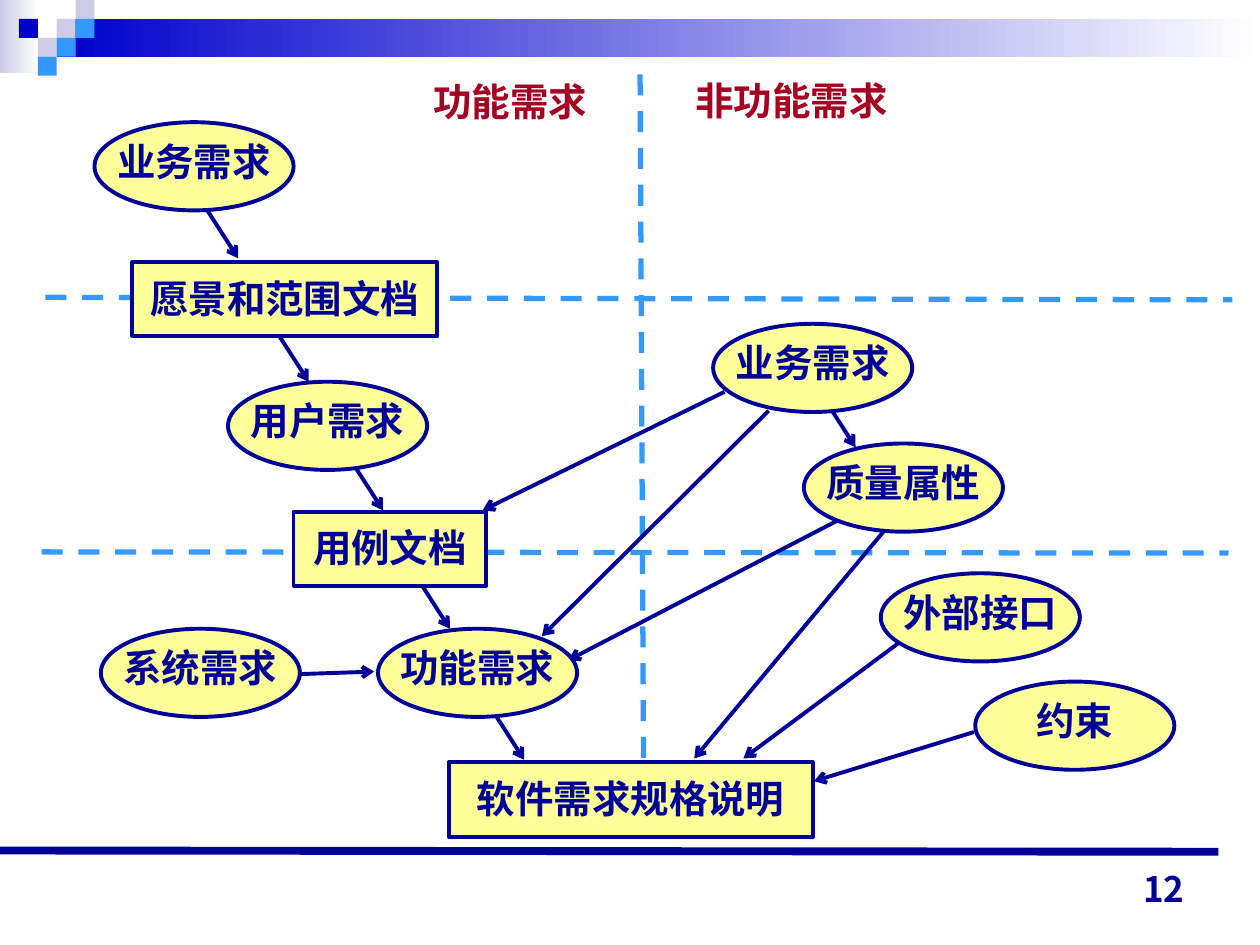
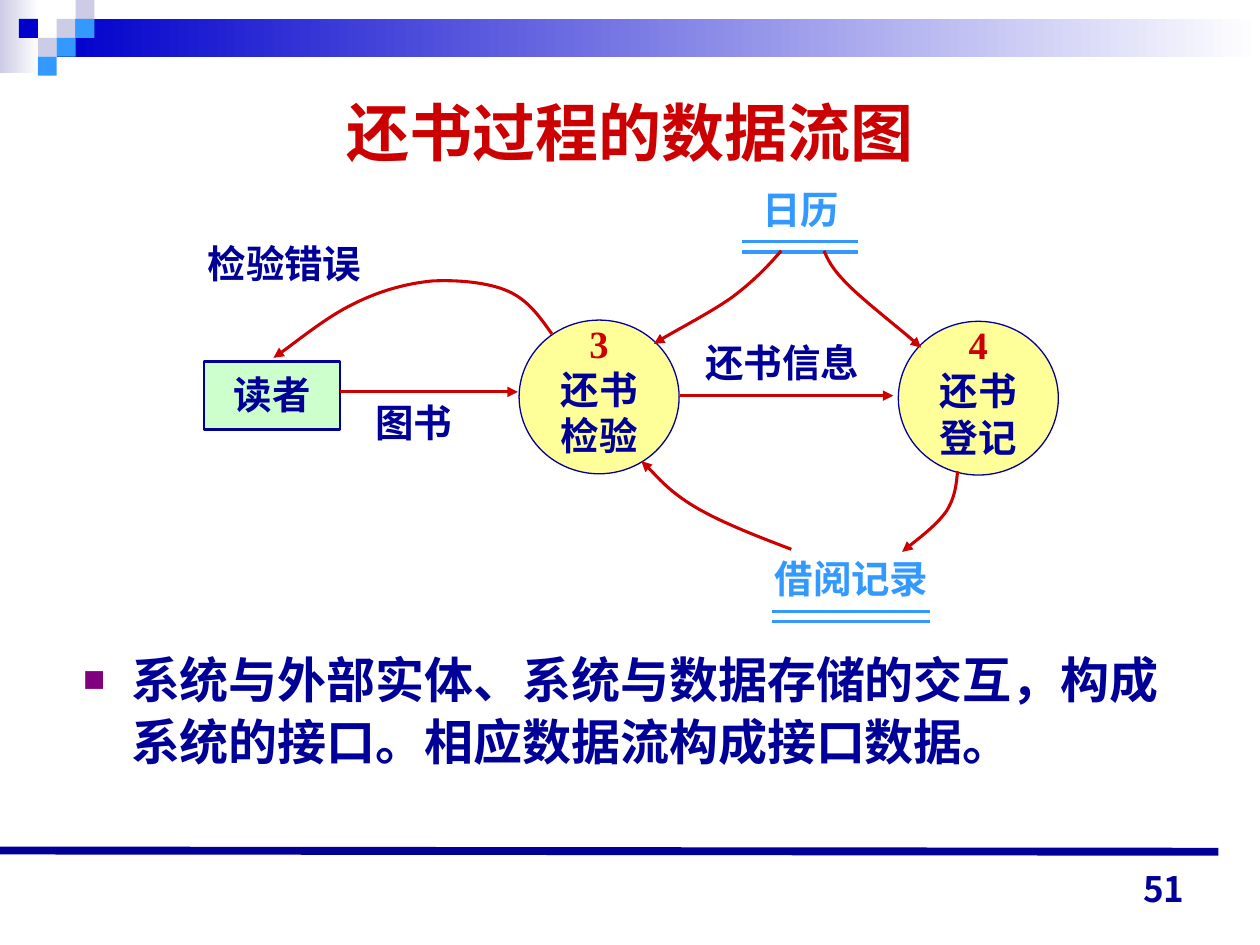
from dataclasses import dataclass

import lxml.etree
import pptx
import pptx.dml.color
import pptx.enum.dml
import pptx.enum.shapes
import pptx.enum.text
import pptx.oxml.ns
import pptx.util

Inches = pptx.util.Inches
Pt = pptx.util.Pt
qn = pptx.oxml.ns.qn
RECT = pptx.enum.shapes.MSO_SHAPE.RECTANGLE
OVAL = pptx.enum.shapes.MSO_SHAPE.OVAL
ALIGN = pptx.enum.text.PP_ALIGN
ANCHOR = pptx.enum.text.MSO_ANCHOR


@dataclass(frozen=True)
class Theme:
    navy: str = "000099"
    blue: str = "0000CC"
    sky: str = "3399FF"
    lavender: str = "CCCCE6"
    white: str = "FFFFFF"
    yellow: str = "FFFF99"
    green: str = "CCFFCC"
    red: str = "CC0000"
    crimson: str = "A50021"
    purple: str = "800080"
    font: str = "Arial"
    digit_font: str = "Times New Roman"
    number_font: str = "Noto Sans CJK JP"
    title_size: int = 36
    body_size: int = 28
    label_size: int = 22
    number_size: int = 20


THEME = Theme()


def rgb(value):
    return pptx.dml.color.RGBColor.from_string(value)


def apply_format(target, formats):
    for name, value in formats.items():
        setattr(target, name, value)


def set_margins(frame, left=0.1, top=0.05, right=0.1, bottom=0.05):
    apply_format(frame, {
        "margin_left": Inches(left), "margin_top": Inches(top),
        "margin_right": Inches(right), "margin_bottom": Inches(bottom)})


def write(paragraph, text, color=THEME.navy, size=THEME.label_size, font=THEME.font,
          align=ALIGN.LEFT):
    paragraph.alignment = align
    run = paragraph.add_run()
    run.text = text
    apply_format(run.font, {"name": font, "size": Pt(size), "bold": True})
    run.font.color.rgb = rgb(color)
    east_asian = lxml.etree.SubElement(run.font._element, qn("a:ea"))
    east_asian.set("typeface", font)


def place(shape, left, top, width, height):
    apply_format(shape, {"left": Inches(left), "top": Inches(top),
                         "width": Inches(width), "height": Inches(height)})


def add_box(slide, kind, left, top, width, height, fill, line=None, weight=0):
    box = slide.shapes.add_shape(kind, Inches(left), Inches(top), Inches(width), Inches(height))
    box.shadow.inherit = False
    box.fill.solid()
    box.fill.fore_color.rgb = rgb(fill)
    if line:
        box.line.color.rgb = rgb(line)
        box.line.width = Pt(weight)
    else:
        box.line.fill.background()
    return box


def add_fade(slide, left, top, width, height, color):
    band = add_box(slide, RECT, left, top, width, height, color)
    band.fill.gradient()
    band.fill.gradient_angle = 180
    for stop, shade in zip(band.fill.gradient_stops, (THEME.white, color)):
        stop.color.rgb = rgb(shade)


def style_line(shape, color, weight, head=None, dashed=False):
    shape.line.color.rgb = rgb(color)
    shape.line.width = Pt(weight)
    if dashed:
        shape.line.dash_style = pptx.enum.dml.MSO_LINE.DASH
    if head:
        lxml.etree.SubElement(shape.line._get_or_add_ln(), qn("a:tailEnd")).set("type", head)


def add_line(slide, start, end, color, weight, head=None, dashed=False):
    line = slide.shapes.add_connector(
        pptx.enum.shapes.MSO_CONNECTOR.STRAIGHT, *map(Inches, (*start, *end)))
    style_line(line, color, weight, head, dashed)
    lxml.etree.SubElement(line._element.spPr, qn("a:effectLst"))


def add_curve(slide, *points):
    start, *controls = [(Inches(x), Inches(y)) for x, y in points]
    builder = slide.shapes.build_freeform(*start)
    builder.add_line_segments(controls, close=False)
    curve = builder.convert_to_shape()
    curve.shadow.inherit = False
    curve.fill.background()
    style_line(curve, THEME.red, 1.75, "triangle")
    segments = list(curve._element.iter(qn("a:lnTo")))
    for i in range(0, len(segments), 3):
        bezier = lxml.etree.Element(qn("a:cubicBezTo"))
        segments[i].addprevious(bezier)
        for segment in segments[i:i + 3]:
            bezier.append(segment[0])
            segment.getparent().remove(segment)


def add_label(slide, text, left, top, color=THEME.navy):
    width = 0.2 + len(text) * THEME.label_size / 72
    label = slide.shapes.add_textbox(Inches(left), Inches(top), Inches(width), Inches(0.47))
    label.text_frame.word_wrap = False
    set_margins(label.text_frame)
    write(label.text_frame.paragraphs[0], text, color)


def add_node(slide, kind, bounds, lines, fill=THEME.yellow, weight=2.25, lift=0.09):
    node = add_box(slide, kind, *bounds, fill, THEME.navy, weight)
    frame = node.text_frame
    apply_format(frame, {"word_wrap": False, "vertical_anchor": ANCHOR.MIDDLE})
    set_margins(frame, 0, 0, 0, lift)
    for i, text in enumerate(lines):
        paragraph = frame.add_paragraph() if i else frame.paragraphs[0]
        look = {"color": THEME.red, "font": THEME.digit_font} if text.isdigit() else {}
        write(paragraph, text, align=ALIGN.CENTER, **look)


def add_store(slide, text, label_left, left, right, top):
    add_label(slide, text, label_left, top - 0.49, THEME.sky)
    for y in (top, top + 0.08):
        add_line(slide, (left, y), (right, y), THEME.sky, 1.75)


def add_page_number(slide, number):
    box = slide.shapes.add_textbox(Inches(7.17), Inches(6.77), Inches(2.33), Inches(0.5))
    apply_format(box.text_frame, {"word_wrap": True, "vertical_anchor": ANCHOR.BOTTOM})
    set_margins(box.text_frame)
    write(box.text_frame.paragraphs[0], number, size=THEME.number_size,
          font=THEME.number_font, align=ALIGN.RIGHT)


def decorate_master(prs, slide):
    add_fade(slide, 0, 0, 0.31, 0.58, THEME.lavender)
    add_fade(slide, 0.45, 0.15, 9.55, 0.3, THEME.blue)
    tile = 0.15
    for column, row, color in (
            (3, 1, THEME.lavender), (4, 0, THEME.lavender), (4, 1, THEME.sky),
            (2, 2, THEME.lavender), (1, 1, THEME.blue), (3, 2, THEME.sky),
            (2, 3, THEME.sky)):
        add_box(slide, RECT, column * tile, row * tile, tile, tile, color)
    add_line(slide, (0, 6.75), (9.67, 6.76), THEME.navy, 4.5)
    for shape in list(slide.shapes):
        prs.slide_master.shapes.element.append(shape._element)


def build_requirements(slide):
    for start, end in (((0.36, 2.36), (9.78, 2.38)),
                       ((0.33, 4.38), (9.75, 4.39)),
                       ((5.08, 0.59), (5.11, 6.55))):
        add_line(slide, start, end, THEME.sky, 3, dashed=True)
    add_label(slide, "功能需求", 3.34, 0.57, THEME.crimson)
    add_label(slide, "非功能需求", 5.42, 0.56, THEME.crimson)

    for x, y in ((1.62, 1.63), (2.18, 2.61), (2.77, 3.63), (3.3, 4.57), (3.89, 5.61),
                 (6.52, 3.13)):
        add_line(slide, (x, y), (x + 0.27, y + 0.42), THEME.navy, 2.25, "arrow")
    for start, end in (((2.38, 5.35), (2.97, 5.33)), ((5.75, 3.11), (3.83, 4.05)),
                       ((6.65, 4.13), (4.51, 5.24)), ((6.1, 3.26), (4.3, 5.05)),
                       ((7.02, 4.21), (5.51, 6.02)), ((7.15, 5.09), (5.9, 6.02)),
                       ((7.73, 5.81), (6.46, 6.2))):
        add_line(slide, start, end, THEME.navy, 2.25, "arrow")

    for text, left, top in (
            ("业务需求", 0.75, 0.97), ("用户需求", 1.81, 3.03), ("系统需求", 0.8, 4.99),
            ("功能需求", 3, 4.99), ("业务需求", 5.66, 2.57), ("质量属性", 6.38, 3.52),
            ("外部接口", 6.99, 4.55), ("约束", 7.74, 5.41)):
        add_node(slide, OVAL, (left, top, 1.58, 0.7), [text])
    for text, left, top, width in (
            ("愿景和范围文档", 1.05, 2.08, 2.42), ("用例文档", 2.33, 4.06, 1.53),
            ("软件需求规格说明", 3.56, 6.05, 2.89)):
        add_node(slide, RECT, (left, top, width, 0.59), [text], lift=0.02)
    add_page_number(slide, "12")


def fill_title(title, text):
    place(title, 0.5, 0.56, 9, 0.96)
    title.text_frame.vertical_anchor = ANCHOR.MIDDLE
    set_margins(title.text_frame)
    write(title.text_frame.paragraphs[0], text, THEME.red, THEME.title_size, align=ALIGN.CENTER)


def fill_bullet(body, text):
    place(body, 0.56, 5.08, 9, 1.65)
    set_margins(body.text_frame)
    paragraph = body.text_frame.paragraphs[0]
    properties = paragraph._p.get_or_add_pPr()
    properties.set("marL", str(Inches(0.38)))
    properties.set("indent", str(-Inches(0.38)))
    color = lxml.etree.SubElement(properties, qn("a:buClr"))
    lxml.etree.SubElement(color, qn("a:srgbClr")).set("val", THEME.purple)
    lxml.etree.SubElement(properties, qn("a:buSzPct")).set("val", "75000")
    lxml.etree.SubElement(properties, qn("a:buChar")).set("char", "■")
    apply_format(paragraph, {"line_spacing": 1.05, "space_before": Pt(0)})
    write(paragraph, text, size=THEME.body_size)


def build_book_return(slide):
    title, body = slide.placeholders
    fill_title(title, "还书过程的数据流图")
    fill_bullet(body, "系统与外部实体、系统与数据存储的交互，构成系统的接口。相应数据流构成接口数据。")

    add_node(slide, RECT, (1.62, 2.87, 1.08, 0.54), ["读者"], THEME.green, 1.5, 0.02)
    add_node(slide, OVAL, (4.12, 2.54, 1.27, 1.22), ["3", "还书", "检验"], weight=0.75, lift=0.12)
    add_node(slide, OVAL, (7.13, 2.55, 1.27, 1.22), ["4", "还书", "登记"], weight=0.75, lift=0.12)
    add_store(slide, "日历", 5.95, 5.89, 6.81, 1.92)
    add_store(slide, "借阅记录", 6.05, 6.13, 7.38, 4.85)

    for start, end in (((2.7, 3.11), (4.11, 3.11)), ((5.4, 3.14), (7.09, 3.14))):
        add_line(slide, start, end, THEME.red, 1.75, "triangle")
    add_curve(slide, (6.54, 1.99), (6.57, 2.06), (6.6, 2.13), (6.73, 2.26),
              (6.86, 2.39), (7.22, 2.67), (7.31, 2.76))
    add_curve(slide, (6.2, 1.99), (6.09, 2.12), (5.97, 2.24), (5.81, 2.36),
              (5.64, 2.48), (5.29, 2.66), (5.19, 2.73))
    add_curve(slide, (4.38, 2.65), (4.28, 2.51), (4.19, 2.38), (4.03, 2.31),
              (3.87, 2.24), (3.63, 2.22), (3.43, 2.23), (3.22, 2.25), (3.01, 2.31),
              (2.81, 2.41), (2.6, 2.51), (2.28, 2.77), (2.17, 2.84))
    add_curve(slide, (7.6, 3.74), (7.59, 3.85), (7.58, 3.95), (7.51, 4.06),
              (7.43, 4.17), (7.22, 4.33), (7.16, 4.38))
    add_curve(slide, (6.28, 4.36), (5.99, 4.25), (5.71, 4.14), (5.51, 4.02),
              (5.31, 3.9), (5.16, 3.72), (5.09, 3.66))

    for text, left, top in (("检验错误", 1.55, 1.86), ("还书信息", 5.5, 2.64),
                            ("图书", 2.88, 3.12)):
        add_label(slide, text, left, top)
    add_page_number(slide, "51")


def main():
    prs = pptx.Presentation()
    apply_format(prs, {"slide_width": Inches(10), "slide_height": Inches(7.5)})
    requirements = prs.slides.add_slide(prs.slide_layouts[6])
    decorate_master(prs, requirements)
    build_requirements(requirements)
    build_book_return(prs.slides.add_slide(prs.slide_layouts[1]))
    prs.save("out.pptx")


if __name__ == "__main__":
    main()
